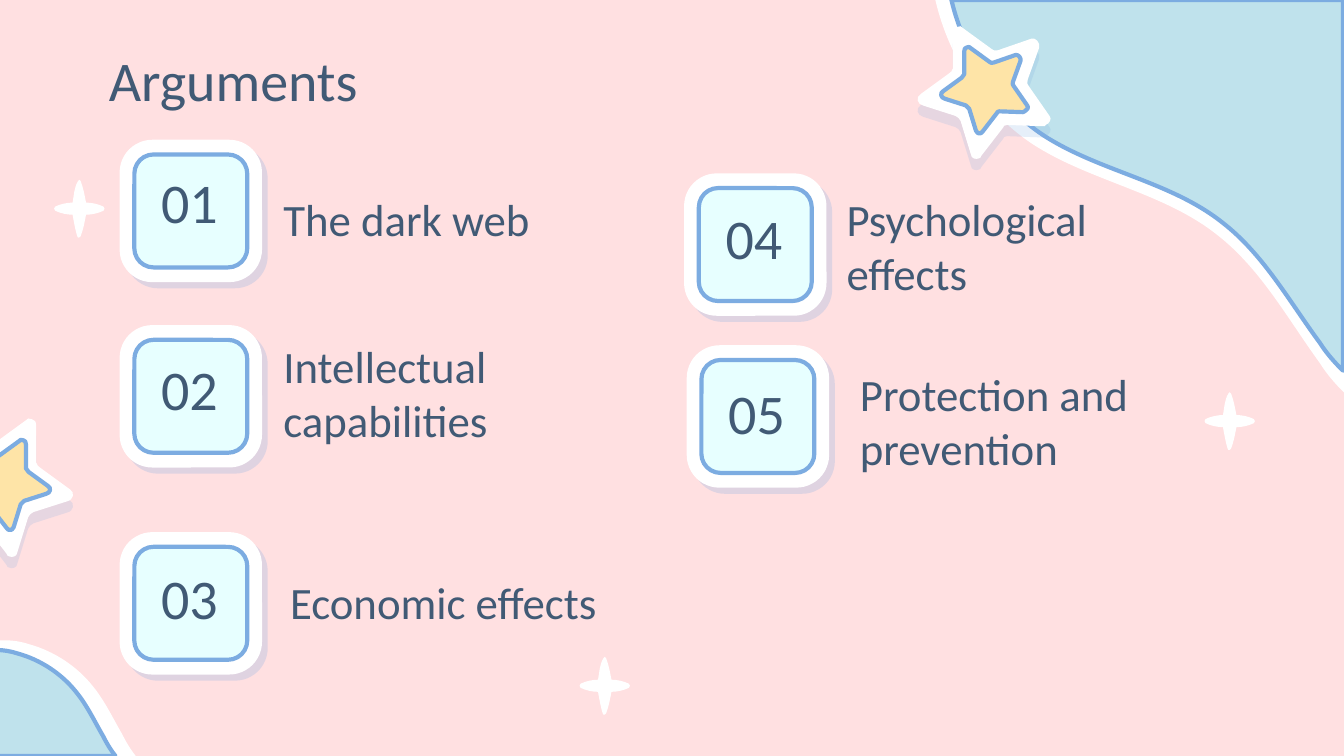
"""Build the agenda slide with five numbered arguments."""
import lxml.etree
import pptx
import pptx.dml.color
import pptx.enum.shapes
import pptx.enum.text
import pptx.oxml.ns
import pptx.util

Pt = pptx.util.Pt
qn = pptx.oxml.ns.qn
ALIGN = pptx.enum.text.PP_ALIGN
ANCHOR = pptx.enum.text.MSO_ANCHOR

COLORS = {"pink": "FFE0E1", "white": "FFFFFF", "blue": "BFE2EC", "line": "7CACE1",
          "yellow": "FEE4A7", "tile": "E7FFFF", "text": "415A75"}
FONT = "Calibri"
TITLE = ("Arguments", 51.1, 17.3, 607.7, 45.4)
ARGUMENTS = [
    {"number": "01", "tile": (64.1, 74.9), "number_top": 89.3,
     "label": "The dark web", "box": (144.7, 100.8, 201.6, 33.1)},
    {"number": "02", "tile": (64.1, 174.2), "number_top": 189.4,
     "label": "Intellectual capabilities", "box": (144.7, 186.5, 229.7, 47.5)},
    {"number": "03", "tile": (64.1, 285.1), "number_top": 301.7,
     "label": "Economic effects", "box": (148.3, 306, 234.7, 33.1)},
    {"number": "04", "tile": (366.5, 92.9), "number_top": 108.7,
     "label": "Psychological effects", "box": (446.4, 115.2, 193.7, 33.1)},
    {"number": "05", "tile": (367.9, 185), "number_top": 202.3,
     "label": "Protection and prevention", "box": (453.6, 208.8, 201.6, 33.1)},
]
TILE, INSET = 76.3, 7.9
NUMBER_OFFSET, NUMBER_WIDTH, NUMBER_HEIGHT = 3.2, 68.4, 36.8

LEFT_WAVE = [
    (-8, 0), (-9, -1, -10, -3, -12, -4), (-18, -13, -24, -22, -28, -31),
    (-32, -41, -34, -52, -31, -62), (-27, -73, -19, -81, -9, -84),
    (-5, -86, -1, -86, 4, -86), (10, -86, 16, -85, 22, -83),
    (40, -78, 57, -67, 69, -52), (78, -41, 84, -28, 91, -16), (94, -10, 97, -5, 101, 0),
]
CORNER_WAVE = [
    (-304, 0), (-294, 43, -268, 83, -232, 107), (-189, 135, -134, 143, -94, 175),
    (-62, 200, -42, 237, -18, 270), (-13, 278, -7, 285, 0, 292), (0, 0),
]
STAR = [
    (22, -51), (20, -52, 18, -52, 17, -50), (-5, -34), (-6, -33, -8, -32, -10, -33),
    (-36, -42), (-39, -43, -43, -39, -42, -35), (-33, -10), (-32, -8, -33, -6, -34, -5),
    (-50, 18), (-52, 20, -50, 24, -47, 25), (-47, 26, -46, 26, -45, 26),
    (-17, 25), (-15, 25, -14, 26, -14, 27), (3, 49), (3, 50, 4, 51, 5, 51),
    (7, 52, 11, 51, 11, 48), (19, 22), (20, 20, 21, 19, 23, 18),
    (48, 10), (53, 9, 54, 3, 50, 1), (28, -15), (26, -16, 26, -17, 25, -19),
    (25, -46), (25, -49, 24, -51, 22, -51),
]
SPARKLE = [
    (0, -22), (-1, -22, -1, -22, -1, -21), (-4, -16, -4, -10, -5, -5),
    (-9, -5, -14, -4, -18, -2), (-19, -1, -19, 0, -18, 1), (-14, 3, -9, 4, -5, 4),
    (-4, 10, -2, 20, -1, 21), (-1, 21, 1, 21, 1, 20), (3, 15, 4, 9, 5, 4),
    (9, 4, 14, 3, 18, 1), (19, 0, 19, -1, 18, -2), (14, -4, 9, -5, 5, -5),
    (4, -10, 3, -16, 1, -21), (1, -22, 0, -22, 0, -22),
]
STAR_SHADOW = {"alpha": 19, "distance": 6, "angle": 90}
TILE_SHADOW = {"alpha": 24, "distance": 4.5, "angle": 47}
DECORATIONS = [
    (LEFT_WAVE, (0, 405), 0.72, 0.72, "white", False, None),
    (LEFT_WAVE, (-4.8, 405), 0.66, 0.66, "blue", True, None),
    (CORNER_WAVE, (720, 0), 0.72, 0.72, "white", False, None),
    (CORNER_WAVE, (719.5, 0), 0.69, 0.68, "blue", True, None),
    (STAR, (1.4, 261.4), 0.72, 0.72, "white", False, STAR_SHADOW),
    (STAR, (2.2, 259.9), 0.47, 0.47, "yellow", True, None),
    (STAR, (527.8, 49.7), -0.69, 0.69, "white", False, STAR_SHADOW),
    (STAR, (527.8, 48.4), -0.45, 0.45, "yellow", True, None),
    (SPARKLE, (42.5, 112.2), 0.72, 0.72, "white", False, None),
    (SPARKLE, (324, 367.8), 0.72, 0.72, "white", False, None),
    (SPARKLE, (658.8, 226), 0.72, 0.72, "white", False, None),
]


def rgb(name):
    return pptx.dml.color.RGBColor.from_string(COLORS[name])


def paint(shape, fill, outlined, shadow=None):
    shape.shadow.inherit = False
    shape.fill.solid()
    shape.fill.fore_color.rgb = rgb(fill)
    if outlined:
        shape.line.color.rgb = rgb("line")
        shape.line.width = Pt(2.25)
    else:
        shape.line.fill.background()
    if shadow:
        effects = shape.element.xpath("./p:spPr/a:effectLst")[0]
        outer = lxml.etree.SubElement(
            effects, qn("a:outerShdw"), blurRad="0", dist=str(Pt(shadow["distance"])),
            dir=str(shadow["angle"] * 60000), algn="bl", rotWithShape="0")
        color = lxml.etree.SubElement(outer, qn("a:srgbClr"), val=COLORS["line"])
        lxml.etree.SubElement(color, qn("a:alpha"), val=str(shadow["alpha"] * 1000))


def add_outline(page, outline, origin, scale_x, scale_y):
    points = [(Pt(origin[0] + step[i] * scale_x), Pt(origin[1] + step[i + 1] * scale_y))
              for step in outline for i in range(0, len(step), 2)]
    builder = page.shapes.build_freeform(*points[0])
    builder.add_line_segments(points[1:], close=True)
    shape = builder.convert_to_shape()
    lines = iter(shape.element.xpath(".//a:lnTo"))
    for step in outline[1:]:
        curve = next(lines)
        if len(step) == 6:
            curve.tag = qn("a:cubicBezTo")
            for extra in (next(lines), next(lines)):
                curve.append(extra[0])
                extra.getparent().remove(extra)
    return shape


def add_tile(page, left, top, size, radius):
    tile = page.shapes.add_shape(pptx.enum.shapes.MSO_SHAPE.ROUNDED_RECTANGLE,
                                 Pt(left), Pt(top), Pt(size), Pt(size))
    tile.adjustments[0] = radius
    return tile


def write(box, text, size, align=ALIGN.LEFT, anchor=ANCHOR.MIDDLE):
    frame = box.text_frame
    frame.text = text
    frame.word_wrap = True
    frame.auto_size = pptx.enum.text.MSO_AUTO_SIZE.NONE
    frame.vertical_anchor = anchor
    frame.margin_left = frame.margin_right = Pt(7.2)
    frame.margin_top = frame.margin_bottom = Pt(7.2)
    para = frame.paragraphs[0]
    para.alignment = align
    font = para.runs[0].font
    font.name, font.size = FONT, Pt(size)
    font.color.rgb = rgb("text")


def main():
    deck = pptx.Presentation()
    deck.slide_width, deck.slide_height = Pt(720), Pt(405)
    page = deck.slides.add_slide(deck.slide_layouts[5])
    page.background.fill.solid()
    page.background.fill.fore_color.rgb = rgb("pink")

    title = page.shapes.title
    text, *place = TITLE
    title.left, title.top, title.width, title.height = map(Pt, place)
    write(title, text, 30, anchor=ANCHOR.TOP)

    for outline, origin, scale_x, scale_y, fill, outlined, shadow in DECORATIONS:
        paint(add_outline(page, outline, origin, scale_x, scale_y), fill, outlined, shadow)

    for argument in ARGUMENTS:
        left, top = argument["tile"]
        paint(add_tile(page, left, top, TILE, 0.23), "white", False, TILE_SHADOW)
        inner = add_tile(page, left + INSET, top + INSET, TILE - 2 * INSET, 0.17)
        paint(inner, "tile", True)
        number = page.shapes.add_textbox(Pt(left + NUMBER_OFFSET), Pt(argument["number_top"]),
                                         Pt(NUMBER_WIDTH), Pt(NUMBER_HEIGHT))
        write(number, argument["number"], 30, ALIGN.CENTER)
        write(page.shapes.add_textbox(*map(Pt, argument["box"])), argument["label"], 24)

    deck.save("out.pptx")


if __name__ == "__main__":
    main()
